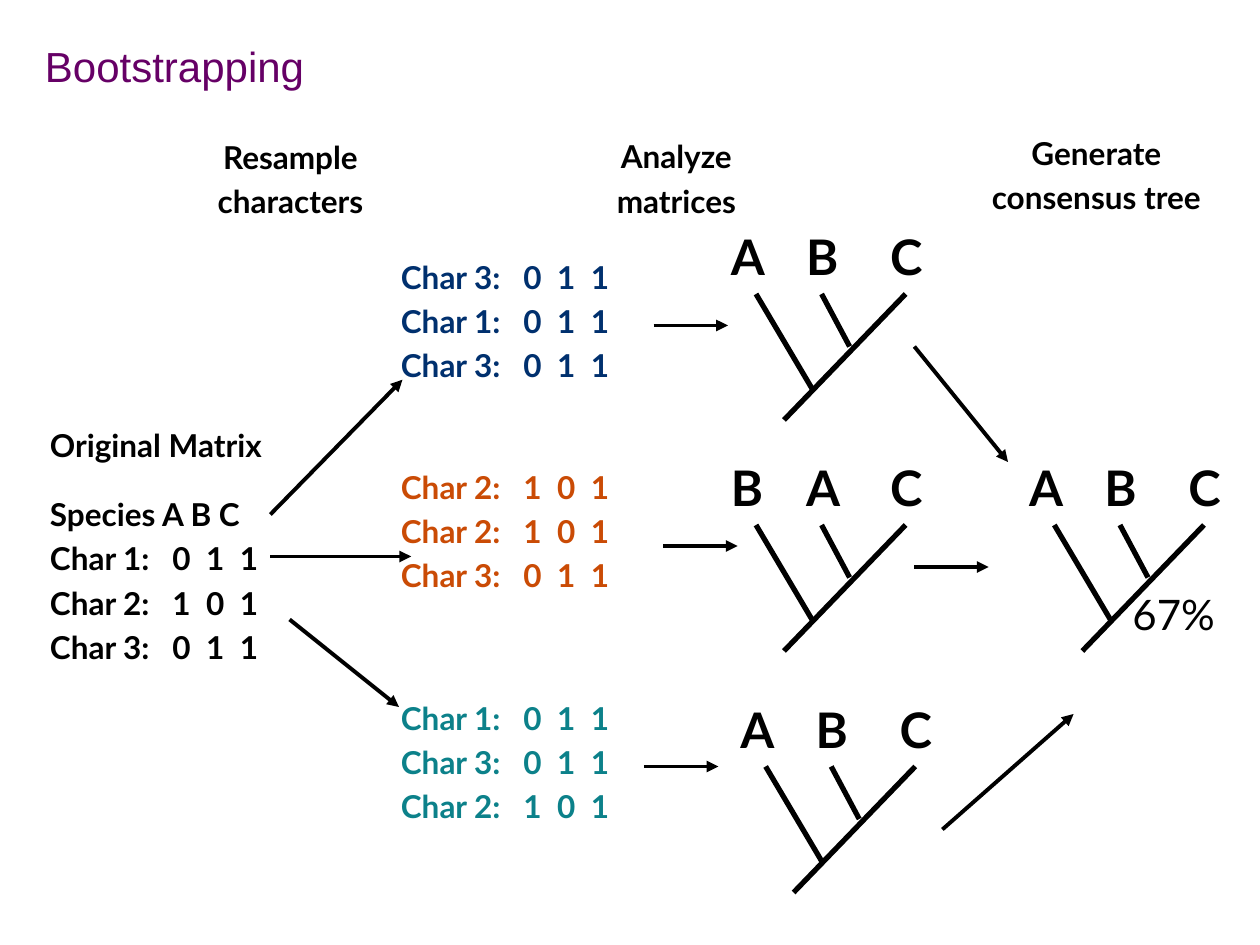
"""Build the Bootstrapping slide: resampled matrices, their trees and the consensus."""
from typing import Any, NamedTuple

from lxml import etree
from pptx import Presentation
from pptx import util as u
from pptx.dml import color
from pptx.enum import shapes, text
from pptx.oxml import ns

BLACK = "000000"
LABEL = {"name": "Lato", "size": u.Pt(18), "bold": True}
TIP = {**LABEL, "size": u.Pt(28)}
SUPPORT = {**LABEL, "size": u.Pt(24), "bold": False}
TITLE = {"name": "Arial", "size": u.Pt(24), "bold": False}
FRAME = {
    "word_wrap": True,
    "auto_size": text.MSO_AUTO_SIZE.NONE,
    "vertical_anchor": text.MSO_ANCHOR.TOP,
}
VALUE_TABS = (70, 89.25, 108.5)
TIP_LEFTS = (0, 43, 91)
BRANCHES = ((107, 42, 37.5, 114), (21.5, 42, 53.5, 96), (59, 42, 75, 72))


class Block(NamedTuple):
    box: tuple[float, float, float, float]
    lines: list[str]
    hex_color: str = BLACK
    centered: bool = False


class Tree(NamedTuple):
    left: float
    top: float
    tips: str


class Arrow(NamedTuple):
    x1: float
    y1: float
    x2: float
    y2: float


ROWS = {1: "Char 1:\t0\t1\t1", 2: "Char 2:\t1\t0\t1", 3: "Char 3:\t0\t1\t1"}


def rows(*numbers: int) -> list[str]:
    """Return the matrix rows of the given characters."""
    return [ROWS[n] for n in numbers]


BLOCKS = [
    Block((21.5, 240, 153, 34), ["Original Matrix"]),
    Block((21.5, 279.5, 153, 110), ["Species A B C", *rows(1, 2, 3)]),
    Block((222, 144, 162, 84), rows(3, 1, 3), "00306E"),
    Block((222, 264, 162, 84), rows(2, 2, 3), "CA4B05"),
    Block((222, 396, 157, 84), rows(1, 3, 2), "0C818A"),
    Block((70, 75.5, 192, 56), ["Resample", "characters"], centered=True),
    Block((309, 75, 155, 56), ["Analyze", "matrices"], centered=True),
    Block((549, 73, 155, 56), ["Generate", "consensus tree"], centered=True),
]
TREES = [
    Tree(410.5, 126, "ABC"),
    Tree(410.5, 258, "BAC"),
    Tree(416, 396, "ABC"),
    Tree(581, 258, "ABC"),
]
ARROWS = [
    Arrow(154.5, 294, 230, 217),
    Arrow(165.5, 354, 228, 404),
    Arrow(154.5, 318, 235, 318),
    Arrow(373.5, 186, 416, 186),
    Arrow(379, 312, 421.5, 312),
    Arrow(368, 438, 410.5, 438),
    Arrow(522.5, 198, 576, 264),
    Arrow(522.5, 324, 565, 324),
    Arrow(538.5, 474, 613.5, 408),
]


def rgb(hex_color: str) -> color.RGBColor:
    """Turn a hex string into a colour."""
    return color.RGBColor.from_string(hex_color)


def set_all(obj: Any, values: dict[str, Any]) -> None:
    """Set each named attribute of an object."""
    for name, value in values.items():
        setattr(obj, name, value)


def add_run(p: Any, words: str, font: dict[str, Any], hex_color: str) -> None:
    """Add formatted text to a paragraph."""
    r = p.add_run()
    r.text = words
    set_all(r.font, font)
    r.font.color.rgb = rgb(hex_color)


def add_tabs(p: Any) -> None:
    """Give a paragraph the tab stops of the matrix columns."""
    tabs = etree.SubElement(p._p.get_or_add_pPr(), ns.qn("a:tabLst"))
    for stop in VALUE_TABS:
        etree.SubElement(tabs, ns.qn("a:tab"), pos=str(u.Pt(stop)), algn="l")


def add_block(s: Any, block: Block, font: dict[str, Any] = LABEL) -> None:
    """Draw a text box with one paragraph per line."""
    tf = s.shapes.add_textbox(*map(u.Pt, block.box)).text_frame
    set_all(tf, FRAME)
    for i, line in enumerate(block.lines):
        p = tf.add_paragraph() if i else tf.paragraphs[0]
        if i:
            p.space_before = u.Pt(3.6)
        if block.centered:
            p.alignment = text.PP_ALIGN.CENTER
        if "\t" in line:
            add_tabs(p)
        add_run(p, line, font, block.hex_color)


def add_line(s: Any, ends: tuple[float, ...], width: float, arrow: bool = False) -> None:
    """Draw a straight black line, with an arrowhead at its end if asked."""
    c = s.shapes.add_connector(shapes.MSO_CONNECTOR.STRAIGHT, *map(u.Pt, ends))
    c.line.color.rgb = rgb(BLACK)
    c.line.width = u.Pt(width)
    if arrow:
        etree.SubElement(c.line._get_or_add_ln(), ns.qn("a:tailEnd"), type="triangle")
    etree.SubElement(c._element.spPr, ns.qn("a:effectLst"))


def add_tree(s: Any, tree: Tree) -> None:
    """Draw the branches and tip labels of a tree."""
    for x1, y1, x2, y2 in BRANCHES:
        ends = (tree.left + x1, tree.top + y1, tree.left + x2, tree.top + y2)
        add_line(s, ends, 3)
    for tip, x in zip(tree.tips, TIP_LEFTS):
        add_block(s, Block((tree.left + x, tree.top, 32, 35), [tip]), TIP)


def add_title(s: Any, words: str) -> None:
    """Place and format the slide title."""
    sp = s.shapes.title
    box = {"left": 18.5, "top": 19.5, "width": 164, "height": 36}
    set_all(sp, {name: u.Pt(value) for name, value in box.items()})
    tf = sp.text_frame
    set_all(tf, {**FRAME, "word_wrap": False})
    p = tf.paragraphs[0]
    p.alignment = text.PP_ALIGN.LEFT
    add_run(p, words, TITLE, "660066")


def main() -> None:
    """Build and save the slide."""
    prs = Presentation()
    set_all(prs, {"slide_width": u.Pt(720), "slide_height": u.Pt(540)})
    s = prs.slides.add_slide(prs.slide_layouts[5])
    add_title(s, "Bootstrapping")
    for block in BLOCKS:
        add_block(s, block)
    for tree in TREES:
        add_tree(s, tree)
    for arrow in ARROWS:
        add_line(s, arrow, 2.25, arrow=True)
    add_block(s, Block((640, 333, 73, 44), ["67%"]), SUPPORT)
    prs.save("out.pptx")


if __name__ == "__main__":
    main()
